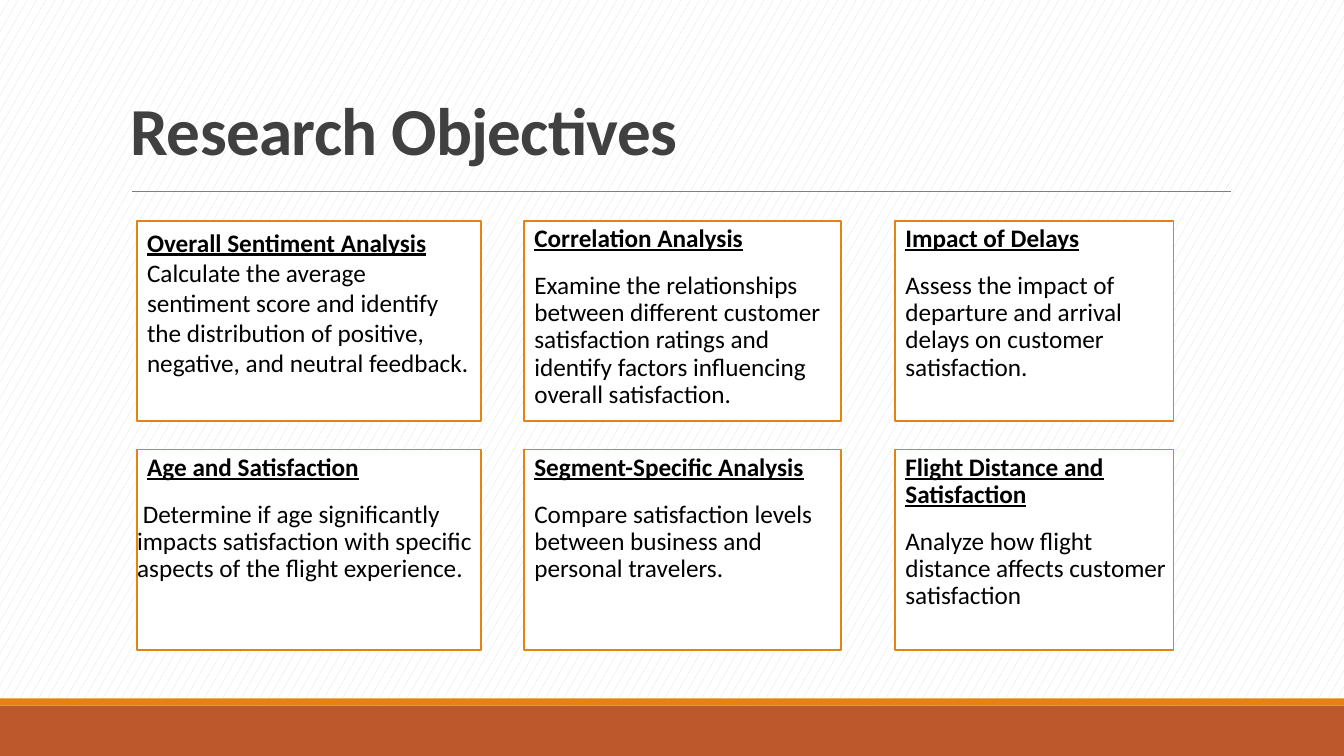
from dataclasses import dataclass
from itertools import product

from lxml.etree import SubElement
from pptx import Presentation
from pptx.dml.color import RGBColor
from pptx.enum.dml import MSO_PATTERN
from pptx.enum.shapes import MSO_CONNECTOR, MSO_SHAPE
from pptx.enum.text import MSO_ANCHOR, PP_ALIGN
from pptx.oxml.ns import qn
from pptx.util import Inches, Pt


@dataclass(frozen=True)
class Theme:
    font: str = "Calibri"
    title_size: int = 48
    card_size: int = 18
    title: RGBColor = RGBColor.from_string("404040")
    text: RGBColor = RGBColor.from_string("000000")
    paper: RGBColor = RGBColor.from_string("FFFFFF")
    speckle: RGBColor = RGBColor.from_string("D9D9D9")
    rule: RGBColor = RGBColor.from_string("808080")
    accent: RGBColor = RGBColor.from_string("E48312")
    footer: RGBColor = RGBColor.from_string("BD582C")


theme = Theme()


def add_panel(left, top, width, height, fill):
    panel = slide.shapes.add_shape(
        MSO_SHAPE.RECTANGLE, Inches(left), Inches(top), Inches(width), Inches(height)
    )
    panel.shadow.inherit = False
    panel.fill.solid()
    panel.fill.fore_color.rgb = fill
    panel.line.fill.background()
    return panel


def style_run(run, size, color, bold, underline=False):
    run.font.name = theme.font
    run.font.size = Pt(size)
    run.font.color.rgb = color
    run.font.bold = bold
    run.font.underline = underline


prs = Presentation()
prs.slide_width = Inches(13.33)
prs.slide_height = Inches(7.5)
slide = prs.slides.add_slide(prs.slide_layouts[6])

backdrop = slide.background.fill
backdrop.patterned()
backdrop.pattern = MSO_PATTERN.SMALL_CONFETTI
backdrop.fore_color.rgb = theme.speckle
backdrop.back_color.rgb = theme.paper

add_panel(0, 7, 13.33, 0.5, theme.footer)
add_panel(0, 6.93, 13.33, 0.07, theme.accent)

title_rule = slide.shapes.add_connector(
    MSO_CONNECTOR.STRAIGHT, Inches(1.31), Inches(1.9), Inches(12.21), Inches(1.9)
)
title_rule.line.color.rgb = theme.rule
title_rule.line.width = Pt(0.5)
SubElement(title_rule._element.spPr, qn("a:effectLst"))

title = slide.shapes.add_textbox(Inches(1.2), Inches(0.44), Inches(11), Inches(1.98))
title.text_frame.word_wrap = True
title.text_frame.vertical_anchor = MSO_ANCHOR.BOTTOM
title.text_frame.margin_bottom = Inches(0.74)
title.text_frame.text = "Research Objectives"
heading = title.text_frame.paragraphs[0]
heading.line_spacing = 0.85
style_run(heading.runs[0], theme.title_size, theme.title, True)
heading.runs[0].font._element.set("spc", "-50")

columns = [(1.36, 3.41), (5.2, 3.14), (8.88, 2.76)]
rows = [2.19, 4.46]
card_height = 1.99
text_indent = 0.1

objectives = [
    ("Overall Sentiment Analysis",
     "Calculate the average sentiment score and identify the distribution of "
     "positive, negative, and neutral feedback."),
    ("Correlation Analysis",
     "Examine the relationships between different customer satisfaction ratings "
     "and identify factors influencing overall satisfaction."),
    ("Impact of Delays",
     "Assess the impact of departure and arrival delays on customer satisfaction."),
    ("Age and Satisfaction",
     " Determine if age significantly impacts satisfaction with specific aspects "
     "of the flight experience."),
    ("Segment-Specific Analysis",
     "Compare satisfaction levels between business and personal travelers."),
    ("Flight Distance and Satisfaction",
     "Analyze how flight distance affects customer satisfaction"),
]

for (top, (left, width)), (topic, aim) in zip(product(rows, columns), objectives):
    card = add_panel(left, top, width, card_height, theme.paper)
    card.line.color.rgb = theme.accent
    card.line.width = Pt(1.25)
    frame = card.text_frame
    frame.word_wrap = True
    frame.vertical_anchor = MSO_ANCHOR.TOP
    frame.margin_left = frame.margin_right = 0

    if topic == "Overall Sentiment Analysis":
        frame.margin_left = frame.margin_right = Inches(text_indent)
        frame.margin_top = Inches(0.06)
        frame.text = topic
        intro = frame.paragraphs[0]
        intro.alignment = PP_ALIGN.LEFT
        style_run(intro.runs[0], theme.card_size, theme.text, True, True)
        for words, underline in [(" ", True), (aim, False)]:
            run = intro.add_run()
            run.text = words
            style_run(run, theme.card_size, theme.text, False, underline)
        continue

    frame.text = f"{topic}\n{aim}"
    for paragraph, is_topic in zip(frame.paragraphs, (True, False)):
        paragraph.alignment = PP_ALIGN.LEFT
        paragraph.line_spacing = 0.9
        paragraph.space_before = Pt(12)
        paragraph.space_after = Pt(2)
        indent = 0 if paragraph.text.startswith(" ") else text_indent
        paragraph._p.get_or_add_pPr().set("marL", str(Inches(indent)))
        style_run(paragraph.runs[0], theme.card_size, theme.text, is_topic, is_topic)

prs.save("out.pptx")
